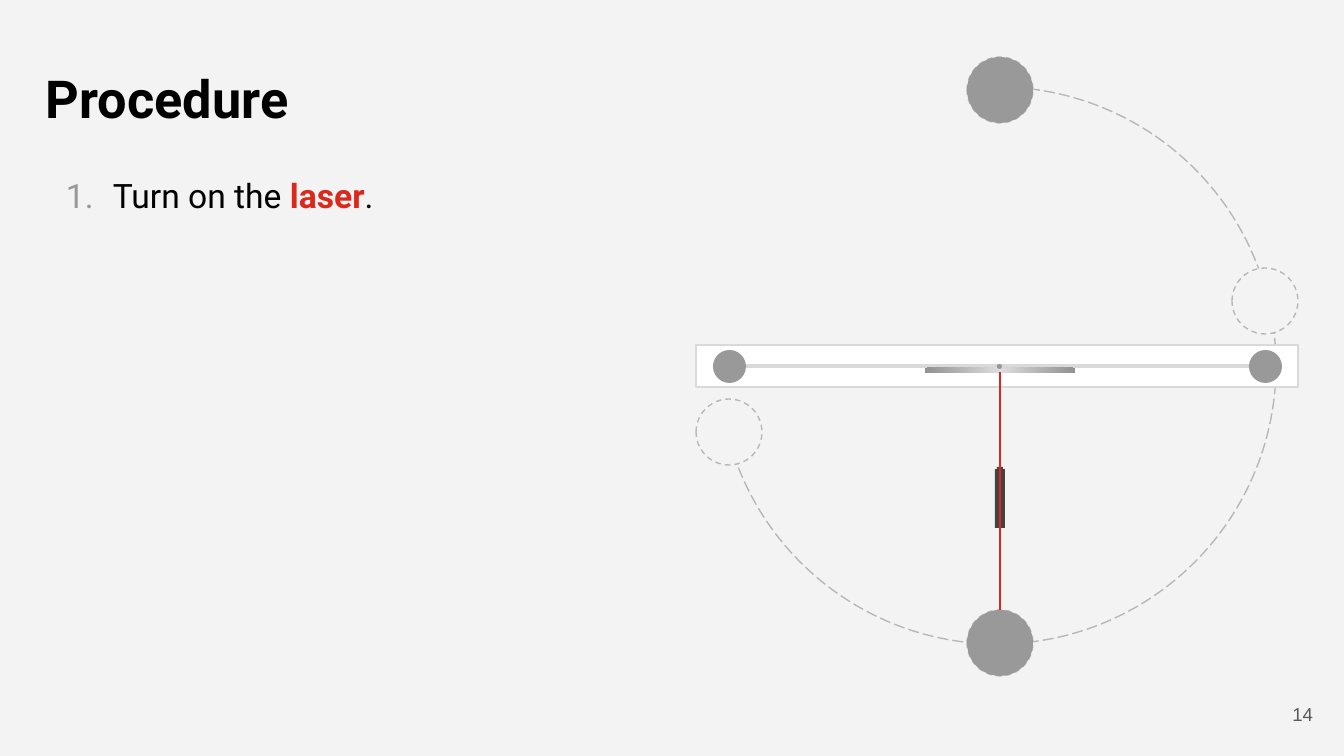
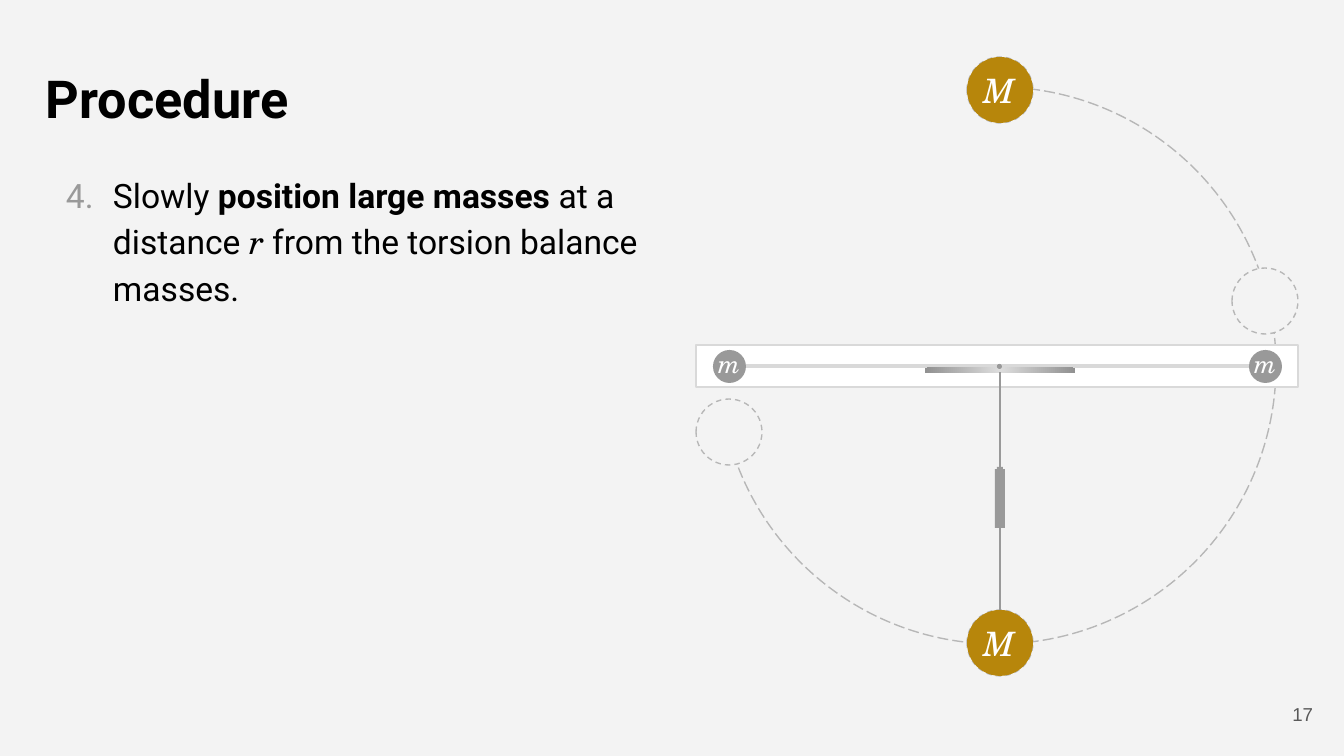
from dataclasses import dataclass

import pptx
import pptx.dml.color
import pptx.enum.dml
import pptx.enum.shapes
import pptx.enum.text
import pptx.oxml
import pptx.oxml.ns
import pptx.util
from lxml import etree

SHAPE = pptx.enum.shapes.MSO_SHAPE
DASH = pptx.enum.dml.MSO_LINE
ALIGN = pptx.enum.text.PP_ALIGN
ANCHOR = pptx.enum.text.MSO_ANCHOR
PX = 914400 / 134.4
CENTER_X = 1000
BIG, SMALL = 66, 33


@dataclass(frozen=True)
class Theme:
    background: str = "F3F3F3"
    ink: str = "000000"
    white: str = "FFFFFF"
    gray: str = "999999"
    orbit: str = "B7B7B7"
    beam: str = "D9D9D9"
    mirror_light: str = "DDDDDD"
    mirror_dark: str = "919191"
    device: str = "434343"
    laser: str = "DA291C"
    gold: str = "B7860B"
    number: str = "595959"
    sans: str = "Roboto"
    math: str = "TeX Gyre Schola"
    number_font: str = "Arial"
    title_size: float = 28
    body_size: float = 18
    big_label_size: float = 18
    small_label_size: float = 13.5
    number_size: float = 10
    thin: float = 0.75
    thick: float = 2.25


def px(n):
    return pptx.util.Emu(round(n * PX))


def rgb(color):
    return pptx.dml.color.RGBColor.from_string(color)


def qn(tag):
    return pptx.oxml.ns.qn(tag)


class Deck:
    def __init__(self, theme):
        self.t = theme
        self.prs = pptx.Presentation()
        self.prs.slide_width, self.prs.slide_height = px(1344), px(756)
        fill = self.prs.slide_master.background.fill
        fill.solid()
        fill.fore_color.rgb = rgb(theme.background)
        self.s = None

    def slide(self):
        self.s = self.prs.slides.add_slide(self.prs.slide_layouts[5])

    def font(self, r, size, color, name, bold=False, italic=False):
        r.font.size = pptx.util.Pt(size)
        r.font.color.rgb = rgb(color)
        r.font.name = name
        r.font.bold, r.font.italic = bold, italic

    def frame(self, sp, anchor=ANCHOR.TOP, inset=0):
        tf = sp.text_frame
        tf.word_wrap = True
        tf.auto_size = pptx.enum.text.MSO_AUTO_SIZE.NONE
        tf.vertical_anchor = anchor
        tf.margin_left = tf.margin_right = px(inset)
        tf.margin_top = tf.margin_bottom = px(inset)
        return tf

    def title(self, text):
        sp = self.s.shapes.title
        sp.left, sp.top, sp.width, sp.height = map(px, (46, 66, 1252, 85))
        tf = self.frame(sp)
        tf.text = text
        p = tf.paragraphs[0]
        p.alignment = ALIGN.LEFT
        self.font(p.runs[0], self.t.title_size, self.t.ink, self.t.sans, bold=True)

    def step(self, number, runs):
        sp = self.s.shapes.add_textbox(*map(px, (46, 169, 626, 503)))
        p = self.frame(sp).paragraphs[0]
        pPr = p._p.get_or_add_pPr()
        pPr.set("marL", str(px(67)))
        pPr.set("indent", str(px(-47)))
        color = etree.SubElement(pPr, qn("a:buClr"))
        etree.SubElement(color, qn("a:srgbClr"), val=self.t.gray)
        etree.SubElement(pPr, qn("a:buAutoNum"), type="arabicPeriod", startAt=str(number))
        p.line_spacing = 1.15
        for text, style in runs:
            r = p.add_run()
            r.text = text
            look = {"color": self.t.ink, "name": self.t.sans, **style}
            self.font(r, self.t.body_size, **look)

    def label(self, box, text, size, color, name, align=ALIGN.CENTER, italic=False,
              inset=0, fill=None):
        sp = self.s.shapes.add_textbox(*map(px, box))
        if fill:
            sp.fill.solid()
            sp.fill.fore_color.rgb = rgb(fill)
        tf = self.frame(sp, ANCHOR.MIDDLE, inset)
        tf.text = text
        p = tf.paragraphs[0]
        p.alignment = align
        self.font(p.runs[0], size, color, name, italic=italic)
        return sp

    def page_number(self, number):
        self.label((1246, 685, 80, 58), str(number), self.t.number_size, self.t.number,
                   self.t.number_font, ALIGN.RIGHT, inset=13)

    def shape(self, kind, box, fill=None, line=None, dash=None):
        sp = self.s.shapes.add_shape(kind, *map(px, box))
        sp.shadow.inherit = False
        if fill:
            sp.fill.solid()
            sp.fill.fore_color.rgb = rgb(fill)
        else:
            sp.fill.background()
        if line:
            sp.line.color.rgb = rgb(line)
            sp.line.width = pptx.util.Pt(self.t.thin)
            if dash:
                sp.line.dash_style = dash
        else:
            sp.line.fill.background()
        return sp

    def ghost(self, x, y):
        self.shape(SHAPE.OVAL, (x, y, BIG, BIG), self.t.background, self.t.orbit, DASH.DASH)

    def mirror(self, box):
        sp = self.shape(SHAPE.RECTANGLE, box)
        sp.fill.gradient()
        stops = sp.fill.gradient_stops
        for stop, color in zip(stops, (self.t.mirror_light, self.t.mirror_dark)):
            stop.color.rgb = rgb(color)
        stops[0].position, stops[1].position = 0, 1
        grad = sp._element.spPr.find(qn("a:gradFill"))
        lin = grad.find(qn("a:lin"))
        radial = pptx.oxml.parse_xml(
            f'<a:path {pptx.oxml.ns.nsdecls("a")} path="circle">'
            '<a:fillToRect l="50000" t="50000" r="50000" b="50000"/></a:path>')
        grad.replace(lin, radial)

    def line(self, start, end, color, width):
        c = self.s.shapes.add_connector(
            pptx.enum.shapes.MSO_CONNECTOR.STRAIGHT, *map(px, start + end))
        c.line.color.rgb = rgb(color)
        c.line.width = pptx.util.Pt(width)
        etree.SubElement(c._element.spPr, qn("a:effectLst"))

    def big_mass(self, x, y, fill, text):
        ball = self.shape(SHAPE.OVAL, (x, y, BIG, BIG), fill)
        if text:
            tag = self.label((x + 10, y + 13, 44, 40), text, self.t.big_label_size,
                             self.t.white, self.t.math, italic=True, fill=fill)
            self.s.shapes.add_group_shape([ball, tag])

    def small_mass(self, x, y, text):
        self.shape(SHAPE.OVAL, (x, y, SMALL, SMALL), self.t.gray)
        if text:
            self.label((x - 6, y - 2, 44, 31), text, self.t.small_label_size,
                       self.t.white, self.t.math, italic=True)

    def balance(self, device, ray, mass, big_text="", small_text=""):
        t = self.t
        self.shape(SHAPE.OVAL, (719, 87, 557, 557), line=t.orbit, dash=DASH.LONG_DASH)
        self.shape(SHAPE.RECTANGLE, (672, 34, 327, 399), t.background)
        self.shape(SHAPE.RECTANGLE, (696, 345, 602, 42), t.white, t.beam)
        self.line((742, 366), (1254, 366), t.beam, t.thick)
        self.mirror((925, 368, 150, 5))
        self.shape(SHAPE.OVAL, (997, 364, 5, 5), t.gray)
        self.shape(SHAPE.RECTANGLE, (995, 469, 10, 59), device)
        self.shape(SHAPE.RECTANGLE, (997, 467, 6, 3), device)
        big_x, big_ys = CENTER_X - BIG // 2, (610, 57)
        for y in big_ys:
            self.ghost(big_x, y)
            self.big_mass(big_x, y, mass, big_text)
        for x, y in ((696, 399), (1232, 268)):
            self.ghost(x, y)
        self.line((CENTER_X, 610), (CENTER_X, 372), ray, t.thin)
        for x in (713, 1249):
            self.small_mass(x, 350, small_text)


def main():
    t = Theme()
    deck = Deck(t)
    steps = (
        (14, 1,
         (("Turn on the ", {}), ("laser", {"color": t.laser, "bold": True}), (".", {})),
         {"device": t.device, "ray": t.laser, "mass": t.gray}),
        (17, 4,
         (("Slowly ", {}), ("position large masses ", {"bold": True}),
          ("at a distance ", {}), ("r", {"name": t.math, "italic": True}),
          (" from the torsion balance masses.", {})),
         {"device": t.gray, "ray": t.gray, "mass": t.gold,
          "big_text": "M", "small_text": "m"}),
    )
    for page, number, runs, look in steps:
        deck.slide()
        deck.title("Procedure")
        deck.step(number, runs)
        deck.page_number(page)
        deck.balance(**look)
    deck.prs.save("out.pptx")


if __name__ == "__main__":
    main()
